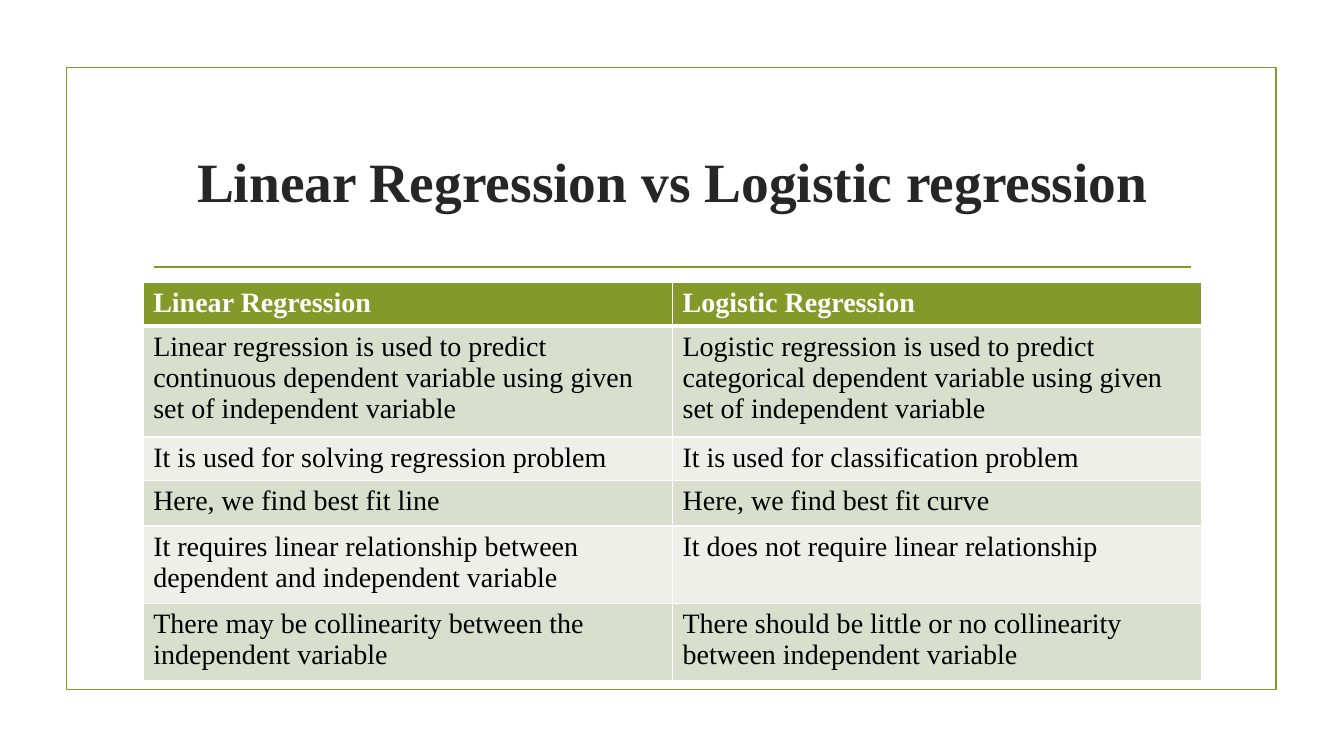
from dataclasses import dataclass

from lxml.etree import SubElement
from pptx import Presentation
from pptx.dml.color import RGBColor
from pptx.enum.shapes import MSO_CONNECTOR, MSO_SHAPE
from pptx.enum.text import MSO_ANCHOR, PP_ALIGN
from pptx.oxml.ns import qn
from pptx.slide import Slide
from pptx.table import _Cell
from pptx.text.text import _Paragraph
from pptx.util import Inches, Pt


@dataclass(frozen=True)
class Theme:
    font: str = "Times New Roman"
    green: str = "83992A"
    band_dark: str = "D9DECD"
    band_light: str = "EDEFE8"
    white: str = "FFFFFF"
    title: str = "262626"
    body: str = "000000"
    title_size: float = 39.6
    table_size: float = 20
    rule_width: float = 1.25
    border_width: float = 1
    header_border_width: float = 3


@dataclass(frozen=True)
class Row:
    height: float
    linear: str
    logistic: str


THEME = Theme()
LEFT, WIDTH = 1.42, 10.5
ROWS = [
    Row(0.41, "Linear Regression", "Logistic Regression"),
    Row(1.02,
        "Linear regression is used to predict continuous dependent variable "
        "using given set of independent variable",
        "Logistic regression is used to predict categorical dependent variable "
        "using given set of independent variable"),
    Row(0.41, "It is used for solving regression problem",
        "It is used for classification problem"),
    Row(0.45, "Here, we find best fit line", "Here, we find best fit curve"),
    Row(0.71,
        "It requires linear relationship between dependent and independent variable",
        "It does not require linear relationship"),
    Row(0.71, "There may be collinearity between the independent variable",
        "There should be little or no collinearity between independent variable"),
]


def rgb(color: str) -> RGBColor:
    return RGBColor.from_string(color)


def write(p: _Paragraph, text: str, size: float, color: str, bold: bool) -> None:
    p.text = text
    font = p.runs[0].font
    font.name = THEME.font
    font.size = Pt(size)
    font.bold = bold
    font.color.rgb = rgb(color)


def add_frame(slide: Slide) -> None:
    sp = slide.shapes.add_shape(
        MSO_SHAPE.RECTANGLE, Inches(0.66), Inches(0.67), Inches(12), Inches(6.17))
    sp.shadow.inherit = False
    sp.fill.background()
    sp.line.color.rgb = rgb(THEME.green)
    sp.line.width = Pt(THEME.rule_width)


def add_title_rule(slide: Slide) -> None:
    cn = slide.shapes.add_connector(
        MSO_CONNECTOR.STRAIGHT, Inches(1.53), Inches(2.65), Inches(11.81), Inches(2.65))
    cn.line.color.rgb = rgb(THEME.green)
    cn.line.width = Pt(THEME.rule_width)
    SubElement(cn._element.spPr, qn("a:effectLst"))


def add_title(slide: Slide, text: str) -> None:
    sp = slide.shapes.add_textbox(
        Inches(LEFT), Inches(1.07), Inches(WIDTH), Inches(1.43))
    tf = sp.text_frame
    tf.word_wrap = True
    tf.vertical_anchor = MSO_ANCHOR.MIDDLE
    p = tf.paragraphs[0]
    p.alignment = PP_ALIGN.CENTER
    write(p, text, THEME.title_size, THEME.title, True)


def set_borders(cell: _Cell, top: float, bottom: float) -> None:
    """Draw white borders, with the side ones at the standard width."""
    tc_pr = cell._tc.get_or_add_tcPr()
    side = THEME.border_width
    for tag, width in (("lnL", side), ("lnR", side), ("lnT", top), ("lnB", bottom)):
        ln = SubElement(tc_pr, qn(f"a:{tag}"), w=str(Pt(width)))
        fill = SubElement(ln, qn("a:solidFill"))
        SubElement(fill, qn("a:srgbClr"), val=THEME.white)


def add_comparison(slide: Slide, rows: list[Row]) -> None:
    table = slide.shapes.add_table(
        len(rows), 2, Inches(LEFT), Inches(2.8), Inches(WIDTH),
        Inches(sum(row.height for row in rows))).table
    thin, thick = THEME.border_width, THEME.header_border_width
    for i, row in enumerate(rows):
        table.rows[i].height = Inches(row.height)
        header = i == 0
        band = THEME.band_dark if i % 2 else THEME.band_light
        for j, text in enumerate((row.linear, row.logistic)):
            cell = table.cell(i, j)
            set_borders(cell, thick if i == 1 else thin, thick if header else thin)
            cell.fill.solid()
            cell.fill.fore_color.rgb = rgb(THEME.green if header else band)
            write(cell.text_frame.paragraphs[0], text, THEME.table_size,
                  THEME.white if header else THEME.body, header)


def main() -> None:
    prs = Presentation()
    prs.slide_width, prs.slide_height = Inches(13.33), Inches(7.5)
    slide = prs.slides.add_slide(prs.slide_layouts[6])
    add_frame(slide)
    add_title_rule(slide)
    add_title(slide, "Linear Regression vs Logistic regression")
    add_comparison(slide, ROWS)
    prs.save("out.pptx")


if __name__ == "__main__":
    main()
